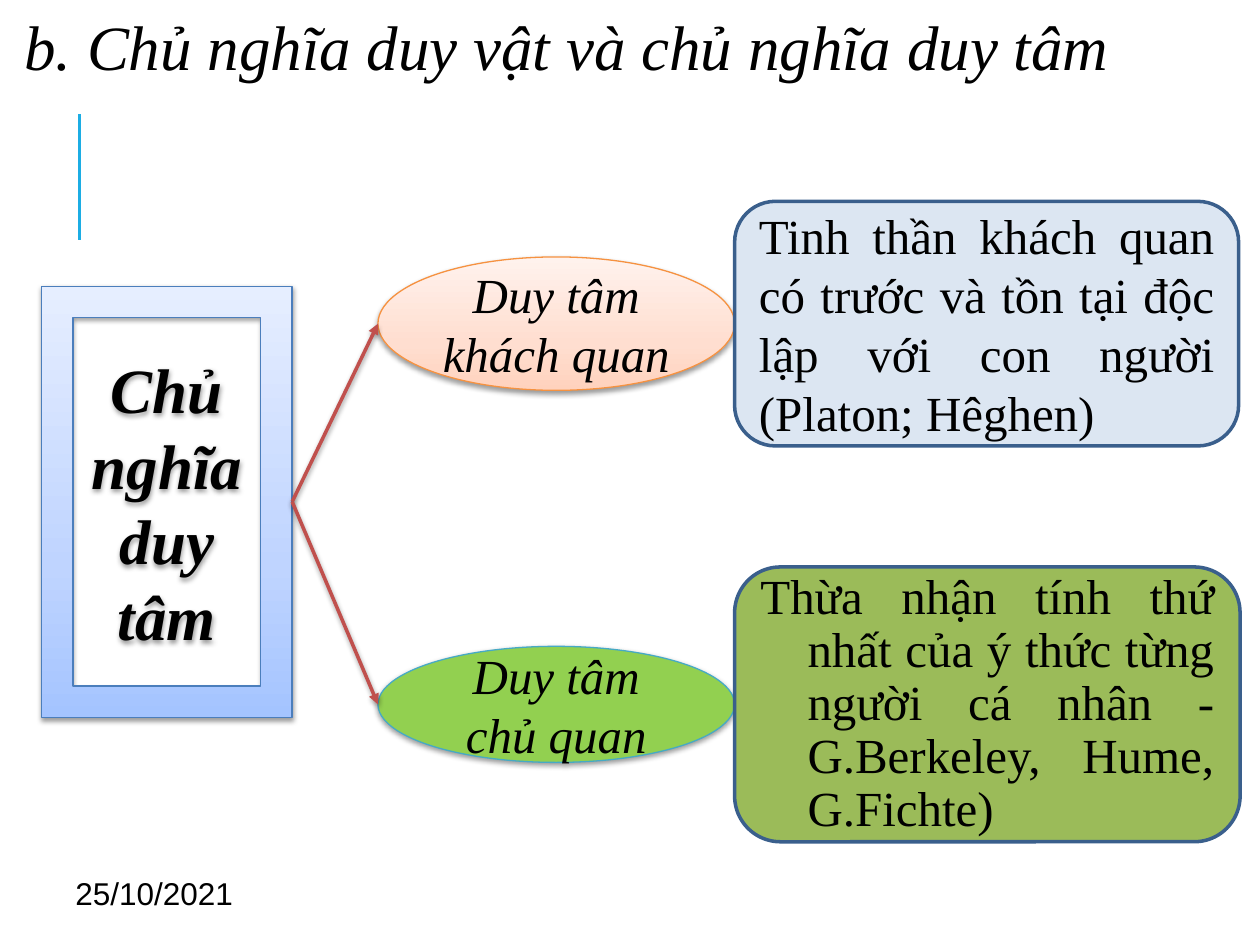
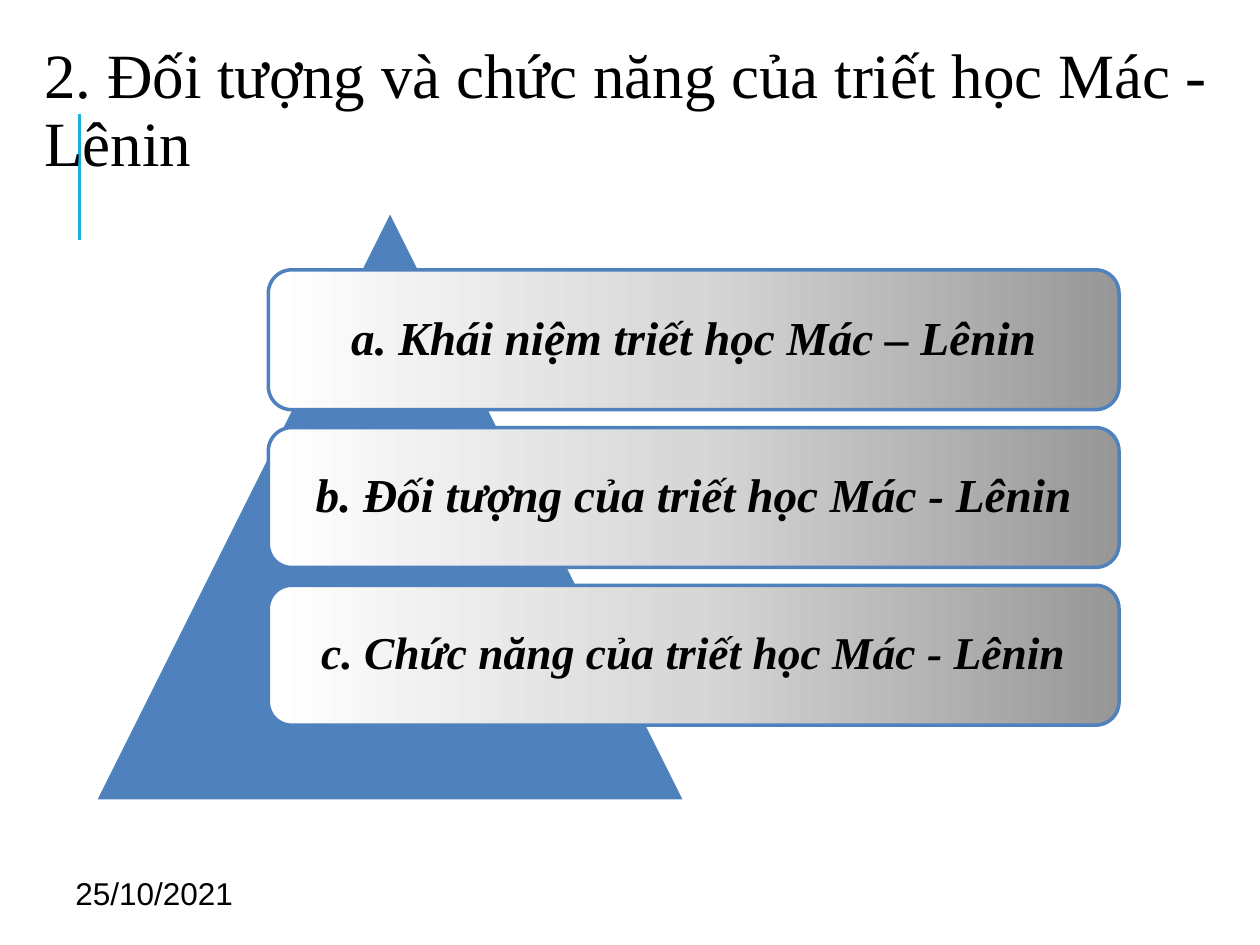
from dataclasses import dataclass

from lxml.etree import SubElement
from pptx import Presentation
from pptx.dml.color import RGBColor
from pptx.enum.shapes import MSO_CONNECTOR, MSO_SHAPE as Preset
from pptx.enum.text import MSO_ANCHOR as Anchor, MSO_AUTO_SIZE, PP_ALIGN as Align
from pptx.oxml.ns import qn
from pptx.presentation import Presentation as Deck
from pptx.shapes.autoshape import Shape
from pptx.shapes.connector import Connector
from pptx.slide import Slide
from pptx.text.text import TextFrame
from pptx.util import Cm, Pt

SERIF = "Times New Roman"
SANS = "Arial"
BLACK = RGBColor(0x00, 0x00, 0x00)
WHITE = RGBColor(0xFF, 0xFF, 0xFF)
CYAN = RGBColor(0x1C, 0xAD, 0xE4)
GREEN = RGBColor(0x92, 0xD0, 0x50)
TEAL = RGBColor(0x46, 0xAA, 0xC5)
ORANGE = RGBColor(0xF6, 0x92, 0x40)
FRAME_BLUE = RGBColor(0x4B, 0x7E, 0xBC)
BLUE = RGBColor(0x4F, 0x81, 0xBD)
NAVY = RGBColor(0x3A, 0x5F, 0x8C)
PALE_BLUE = RGBColor(0xDC, 0xE6, 0xF2)
OLIVE = RGBColor(0x9B, 0xBB, 0x59)
RED = RGBColor(0xC0, 0x50, 0x4D)


@dataclass(frozen=True)
class Gradient:
    angle: int
    stops: tuple[tuple[int, RGBColor], ...]


PEACH_FADE = Gradient(270, ((0, RGBColor(0xFF, 0xD2, 0xBD)),
                            (35, RGBColor(0xFF, 0xDE, 0xD0)),
                            (100, RGBColor(0xFF, 0xF2, 0xED))))
BLUE_FADE = Gradient(270, ((0, RGBColor(0xA4, 0xC4, 0xFF)),
                           (35, RGBColor(0xBF, 0xD4, 0xFF)),
                           (100, RGBColor(0xE6, 0xEE, 0xFF))))
GREY_FADE = Gradient(180, ((0, RGBColor(0x97, 0x97, 0x97)),
                           (50, RGBColor(0xD7, 0xD7, 0xD7)),
                           (100, WHITE)))


@dataclass(frozen=True)
class Box:
    left: float
    top: float
    width: float
    height: float

    @property
    def right(self) -> float:
        return self.left + self.width

    @property
    def middle(self) -> float:
        return self.top + self.height / 2

    def lengths(self) -> tuple[Cm, Cm, Cm, Cm]:
        return Cm(self.left), Cm(self.top), Cm(self.width), Cm(self.height)


@dataclass(frozen=True)
class TextStyle:
    size: float
    bold: bool = False
    italic: bool = False
    align: Align = Align.CENTER
    font: str = SERIF
    spacing: float = 1.0


@dataclass(frozen=True)
class Block:
    preset: Preset
    box: Box
    fill: RGBColor | Gradient
    line: RGBColor
    line_width: float = 2
    text: str = ""
    style: TextStyle = TextStyle(28)
    shadow: bool = False


ELLIPSE_TEXT = TextStyle(28, italic=True)
FRAME_TEXT = TextStyle(36, bold=True, italic=True)
PANEL_TEXT = TextStyle(28, align=Align.JUSTIFY)
HANGING_TEXT = TextStyle(28, align=Align.JUSTIFY, spacing=0.9)
DATE_TEXT = TextStyle(18, align=Align.LEFT, font=SANS)

DATE_BOX = Box(1.27, 17.35, 5.92, 1.32)

SCHOOL = Block(Preset.FRAME, Box(0.84, 5.77, 5.05, 8.69), BLUE_FADE, FRAME_BLUE, 0.75,
               "Chủ nghĩa duy tâm", FRAME_TEXT, True)
BRANCHES = (
    Block(Preset.OVAL, Box(7.62, 5.18, 7.19, 2.69), PEACH_FADE, ORANGE, 0.75,
          "Duy tâm khách quan", ELLIPSE_TEXT, True),
    Block(Preset.OVAL, Box(7.62, 13.03, 7.19, 2.34), GREEN, TEAL, 0.75,
          "Duy tâm chủ quan", ELLIPSE_TEXT, True),
)
OBJECTIVE_PANEL = Block(
    Preset.ROUNDED_RECTANGLE, Box(14.81, 4.06, 10.16, 4.93), PALE_BLUE, NAVY,
    text="Tinh thần khách quan có trước và tồn tại độc lập với con người (Platon; Hêghen)",
    style=PANEL_TEXT)
SUBJECTIVE_PANEL = Block(
    Preset.ROUNDED_RECTANGLE, Box(14.81, 11.43, 10.19, 5.54), OLIVE, NAVY,
    text="Thừa nhận tính thứ nhất của ý thức từng người cá nhân - "
         "G.Berkeley, Hume, G.Fichte)",
    style=HANGING_TEXT)

TRIANGLE = Block(Preset.ISOSCELES_TRIANGLE, Box(1.91, 4.24, 11.91, 11.91), BLUE, WHITE)
FIRST_BAR = Box(5.41, 5.44, 17.15, 2.82)
BAR_PITCH = 3.18
TOPICS = (
    ("a. Khái niệm triết học Mác – Lênin", 27),
    ("b. Đối tượng của triết học Mác - Lênin", 27),
    ("c. Chức năng của triết học Mác - Lênin", 26),
)


def write_text(frame: TextFrame, text: str, style: TextStyle) -> None:
    frame.word_wrap = True
    frame.auto_size = MSO_AUTO_SIZE.NONE
    frame.vertical_anchor = Anchor.MIDDLE
    frame.text = text
    para = frame.paragraphs[0]
    para.alignment = style.align
    para.line_spacing = style.spacing
    for span in para.runs:
        span.font.name = style.font
        span.font.size = Pt(style.size)
        span.font.bold = style.bold
        span.font.italic = style.italic
        span.font.color.rgb = BLACK


def apply_gradient(shape: Shape, gradient: Gradient) -> None:
    shape.fill.gradient()
    shape.fill.gradient_angle = 360 - gradient.angle
    stop_list = shape.element.spPr.find(".//" + qn("a:gsLst"))
    for stop in list(stop_list):
        stop_list.remove(stop)
    for percent, color in gradient.stops:
        stop = SubElement(stop_list, qn("a:gs"), pos=str(percent * 1000))
        SubElement(stop, qn("a:srgbClr"), val=str(color))


def add_shadow(item: Shape | Connector) -> None:
    effects = item.element.spPr.find(qn("a:effectLst"))
    shadow = SubElement(effects, qn("a:outerShdw"), blurRad=str(Pt(3.1)),
                        dist=str(Pt(1.6)), dir="5400000", rotWithShape="0")
    color = SubElement(shadow, qn("a:srgbClr"), val=str(BLACK))
    SubElement(color, qn("a:alpha"), val="38000")


def add_block(page: Slide, block: Block) -> Shape:
    shape = page.shapes.add_shape(block.preset, *block.box.lengths())
    shape.shadow.inherit = False
    if isinstance(block.fill, Gradient):
        apply_gradient(shape, block.fill)
    else:
        shape.fill.solid()
        shape.fill.fore_color.rgb = block.fill
    shape.line.color.rgb = block.line
    shape.line.width = Pt(block.line_width)
    if block.shadow:
        add_shadow(shape)
    if block.text:
        write_text(shape.text_frame, block.text, block.style)
    return shape


def add_line(page: Slide, start: tuple[float, float], end: tuple[float, float],
             color: RGBColor, width: float) -> Connector:
    line = page.shapes.add_connector(MSO_CONNECTOR.STRAIGHT, *map(Cm, start + end))
    line.line.color.rgb = color
    line.line.width = Pt(width)
    SubElement(line.element.spPr, qn("a:effectLst"))
    return line


def add_arrow(page: Slide, source: Box, target: Box) -> None:
    arrow = add_line(page, (source.right, source.middle), (target.left, target.middle), RED, 2)
    SubElement(arrow.element.spPr.find(qn("a:ln")), qn("a:tailEnd"), type="triangle")
    add_shadow(arrow)


def add_master_line(deck: Deck, page: Slide) -> None:
    line = add_line(page, (1.6, 4.83), (1.6, 2.29), CYAN, 1.5)
    deck.slide_master.shapes.element.append(line.element)


def add_page(deck: Deck, title: str, box: Box, italic: bool = False) -> Slide:
    page = deck.slides.add_slide(deck.slide_layouts.get_by_name("Title Only"))
    heading = page.shapes.title
    heading.left, heading.top, heading.width, heading.height = box.lengths()
    write_text(heading.text_frame, title,
               TextStyle(36, italic=italic, align=Align.LEFT, spacing=0.9))
    date = page.shapes.add_textbox(*DATE_BOX.lengths())
    write_text(date.text_frame, "25/10/2021", DATE_TEXT)
    return page


def build_idealism(deck: Deck) -> None:
    page = add_page(deck, "b. Chủ nghĩa duy vật và chủ nghĩa duy tâm",
                    Box(0.23, 0.3, 24.77, 1.9), italic=True)
    add_master_line(deck, page)
    heading = page.shapes.title.text_frame
    heading.vertical_anchor = Anchor.TOP
    heading.margin_top = Cm(0.03)
    for block in (*BRANCHES, SCHOOL, OBJECTIVE_PANEL):
        add_block(page, block)
    para = add_block(page, SUBJECTIVE_PANEL).text_frame.paragraphs[0]
    para.space_before = Pt(5.6)
    properties = para._p.get_or_add_pPr()
    properties.set("marL", str(Cm(0.95)))
    properties.set("indent", str(Cm(-0.95)))
    for branch in BRANCHES:
        add_arrow(page, SCHOOL.box, branch.box)


def build_topics(deck: Deck) -> None:
    page = add_page(deck, "2. Đối tượng và chức năng của triết học Mác - Lênin",
                    Box(0.64, 0.89, 24.13, 2.74))
    add_block(page, TRIANGLE)
    for index, (topic, size) in enumerate(TOPICS):
        box = Box(FIRST_BAR.left, FIRST_BAR.top + index * BAR_PITCH,
                  FIRST_BAR.width, FIRST_BAR.height)
        style = TextStyle(size, bold=True, italic=True, spacing=0.9)
        add_block(page, Block(Preset.ROUNDED_RECTANGLE, box, GREY_FADE, BLUE,
                              text=topic, style=style))


def main() -> None:
    deck = Presentation()
    deck.slide_width, deck.slide_height = Cm(25.4), Cm(19.05)
    build_idealism(deck)
    build_topics(deck)
    deck.save("out.pptx")


if __name__ == "__main__":
    main()
